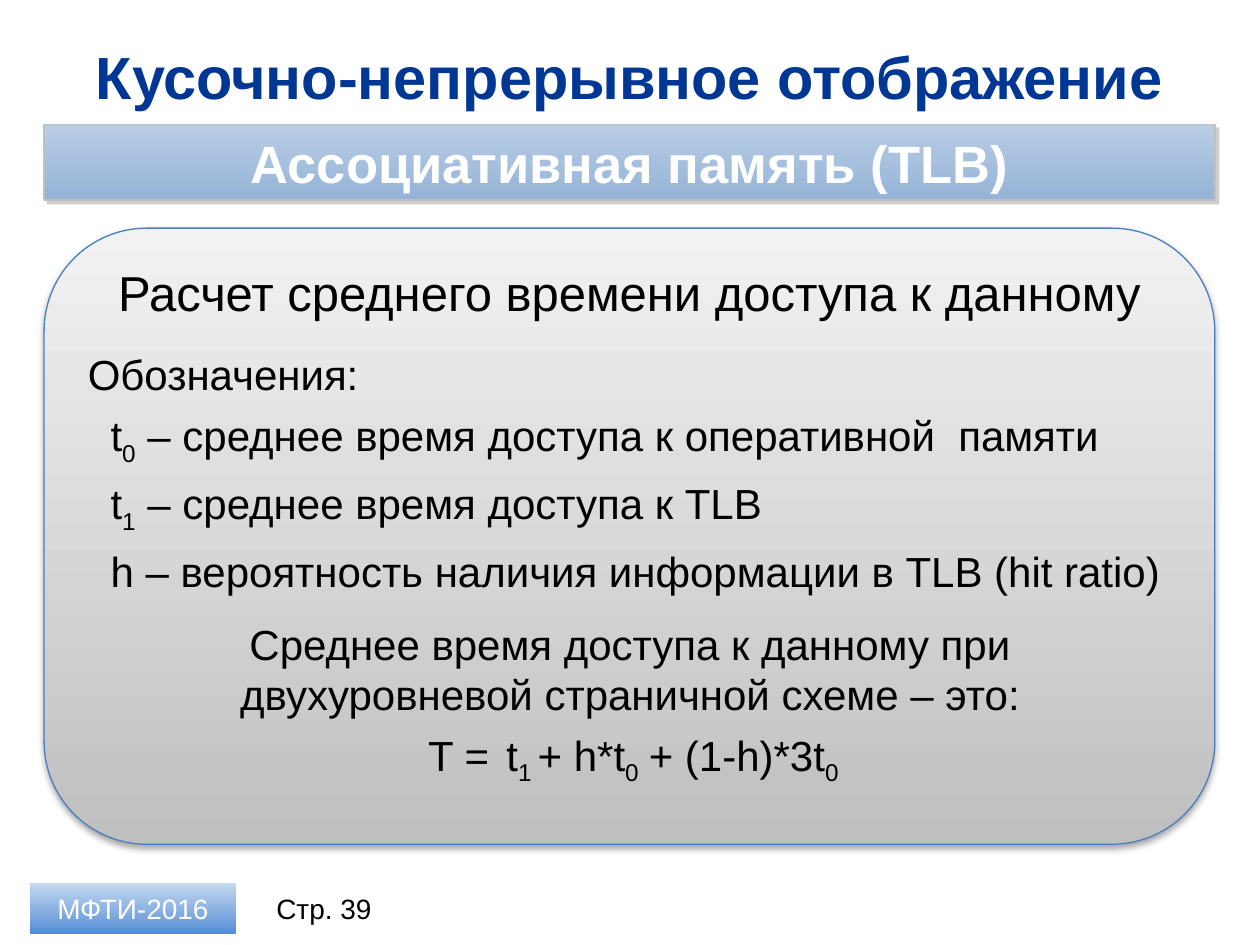
from dataclasses import dataclass
from typing import Optional

import lxml.etree
import pptx
import pptx.dml.color
import pptx.enum.shapes
import pptx.enum.text
import pptx.oxml.ns
import pptx.util

Cm = pptx.util.Cm
Pt = pptx.util.Pt
ALIGN = pptx.enum.text.PP_ALIGN
ANCHOR = pptx.enum.text.MSO_ANCHOR
SHAPE = pptx.enum.shapes.MSO_SHAPE
qn = pptx.oxml.ns.qn

COLORS = {
    "title": "003794",
    "text": "000000",
    "light": "FFFFFF",
    "banner_line": "C0C0C0",
    "panel_line": "4B7EBC",
    "banner_shadow": "808080",
    "panel_shadow": "000000",
}
GRADIENTS = {
    "badge": ["C6D9F1", "8EB4E3", "558ED5"],
    "banner": ["B9CDE5", "95B3D7"],
    "panel": ["F2F2F2", "BFBFBF"],
}


@dataclass
class Box:
    left: float
    top: float
    width: float
    height: float

    def lengths(self) -> list:
        return [Cm(v) for v in (self.left, self.top, self.width, self.height)]


@dataclass
class Para:
    """Runs alternate between normal text and subscript."""
    runs: tuple
    size: float = 24
    color: str = "text"
    bold: bool = False
    align: ALIGN = ALIGN.LEFT
    before: float = 0
    after: float = 0
    indent: float = 0


@dataclass
class Shadow:
    color: str
    alpha: int
    blur: float
    distance: float
    angle: int


@dataclass
class Panel:
    box: Box
    kind: SHAPE
    gradient: str
    line: Optional[str] = None
    line_width: float = 0
    shadow: Optional[Shadow] = None
    text: Optional[Para] = None


def set_all(target, values: dict) -> None:
    for name, value in values.items():
        setattr(target, name, value)


def rgb(name: str):
    return pptx.dml.color.RGBColor.from_string(COLORS[name])


def write(sp, paras: list, anchor=ANCHOR.TOP) -> None:
    tf = sp.text_frame
    set_all(tf, {"word_wrap": True, "vertical_anchor": anchor})
    for i, para in enumerate(paras):
        p = tf.add_paragraph() if i else tf.paragraphs[0]
        set_all(p, {"alignment": para.align, "space_before": Pt(para.before),
                    "space_after": Pt(para.after)})
        if para.indent:
            p._p.get_or_add_pPr().set("marL", str(Cm(para.indent)))
        for j, text in enumerate(para.runs):
            r = p.add_run()
            r.text = text
            set_all(r.font, {"name": "Arial", "size": Pt(para.size), "bold": para.bold})
            r.font.color.rgb = rgb(para.color)
            if j % 2:
                r._r.get_or_add_rPr().set("baseline", "-25000")


def add_text(s, box: Box, paras: list, anchor=ANCHOR.TOP) -> None:
    write(s.shapes.add_textbox(*box.lengths()), paras, anchor)


def fill_downwards(sp, colors: list) -> None:
    """Fill with evenly spaced gradient stops from top to bottom."""
    sp.fill.gradient()
    sp.fill.gradient_angle = 270
    stops = sp._element.spPr.find(qn("a:gradFill")).find(qn("a:gsLst"))
    for stop in list(stops):
        stops.remove(stop)
    for i, color in enumerate(colors):
        gs = lxml.etree.SubElement(stops, qn("a:gs"), pos=str(100000 * i // (len(colors) - 1)))
        lxml.etree.SubElement(gs, qn("a:srgbClr"), val=color)


def cast_shadow(sp, shadow: Shadow) -> None:
    effects = sp._element.spPr.find(qn("a:effectLst"))
    outer = lxml.etree.SubElement(
        effects, qn("a:outerShdw"), blurRad=str(Pt(shadow.blur)),
        dist=str(Pt(shadow.distance)), dir=str(shadow.angle * 60000), rotWithShape="0")
    color = lxml.etree.SubElement(outer, qn("a:srgbClr"), val=COLORS[shadow.color])
    lxml.etree.SubElement(color, qn("a:alpha"), val=str(shadow.alpha * 1000))


def add_panel(s, panel: Panel) -> None:
    sp = s.shapes.add_shape(panel.kind, *panel.box.lengths())
    fill_downwards(sp, GRADIENTS[panel.gradient])
    if panel.line:
        sp.line.color.rgb = rgb(panel.line)
        sp.line.width = Pt(panel.line_width)
    else:
        sp.line.fill.background()
    sp.shadow.inherit = False
    if panel.shadow:
        cast_shadow(sp, panel.shadow)
    if panel.text:
        write(sp, [panel.text], ANCHOR.MIDDLE)


LEFT, WIDTH = 0.89, 23.6
TITLE = Para(("Кусочно-непрерывное отображение",), 34, "title", True, ALIGN.CENTER)
PAGE = Para(("Стр. 39",), 16, align=ALIGN.CENTER)
PANELS = [
    Panel(Box(0.61, 17.8, 4.14, 1.02), SHAPE.RECTANGLE, "badge",
          text=Para(("МФТИ-2016",), 16, "light", align=ALIGN.CENTER)),
    Panel(Box(LEFT, 2.51, WIDTH, 1.52), SHAPE.RECTANGLE, "banner", "banner_line", 1,
          Shadow("banner_shadow", 40, 0, 3, 45),
          Para(("Ассоциативная память (TLB)",), 30, "light", True, ALIGN.CENTER)),
    Panel(Box(LEFT, 4.6, WIDTH, 12.42), SHAPE.ROUNDED_RECTANGLE, "panel", "panel_line", 0.75,
          Shadow("panel_shadow", 35, 3.1, 1.8, 90)),
]
HEADING = Para(("Расчет среднего времени доступа к данному",), 28, align=ALIGN.CENTER)
NOTATION = [
    Para(("Обозначения:",), after=6),
    Para(("t", "0", " – среднее время доступа к оперативной  памяти"), indent=0.46),
    Para(("t", "1", " – среднее время доступа к TLB"), before=6, indent=0.46),
    Para(("h – вероятность наличия информации в TLB (hit ratio)",), before=6, indent=0.46),
]
RESULT = [
    Para(("Среднее время доступа к данному при двухуровневой страничной схеме – это:",),
         align=ALIGN.CENTER),
    Para(("T =",), before=6, indent=5.08),
]
# left edge, width, runs of each term on the formula line
TERMS = [
    (9.96, 1.4, ("t", "1")),
    (10.59, 2.67, ("+ h*t", "0")),
    (12.83, 4.62, ("+ (1-h)*3t", "0")),
]


def main() -> None:
    prs = pptx.Presentation()
    set_all(prs, {"slide_width": Cm(25.4), "slide_height": Cm(19.05)})
    s = prs.slides.add_slide(prs.slide_layouts[6])
    add_text(s, Box(LEFT, 0.66, WIDTH, 1.73), [TITLE], ANCHOR.MIDDLE)
    add_text(s, Box(5.16, 17.8, 2.74, 1.02), [PAGE], ANCHOR.MIDDLE)
    for panel in PANELS:
        add_panel(s, panel)
    add_text(s, Box(1.93, 5.16, 21.51, 1.45), [HEADING])
    add_text(s, Box(1.52, 6.91, 22.43, 5), NOTATION)
    add_text(s, Box(3.3, 12.34, 18.8, 3.56), RESULT)
    for left, width, runs in TERMS:
        add_text(s, Box(left, 14.58, width, 1.27), [Para(runs)])
    prs.save("out.pptx")


if __name__ == "__main__":
    main()
